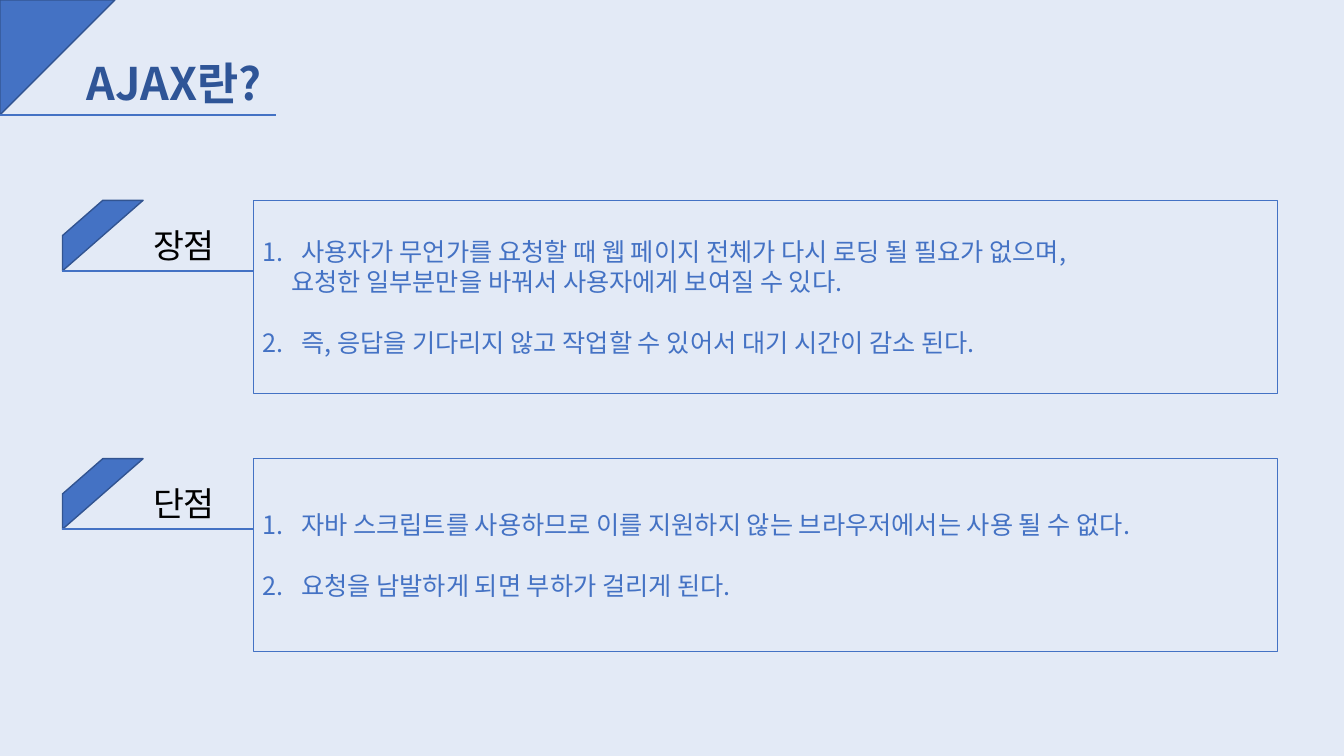
"""Build the AJAX pros and cons slide, with lengths in percent of the slide's size."""
from dataclasses import dataclass

from lxml import etree
from pptx import Presentation
from pptx import util as u
from pptx.dml.color import RGBColor
from pptx.enum import shapes, text
from pptx.oxml.ns import qn

WIDTH, HEIGHT = u.Inches(13.33), u.Inches(7.5)
FONT = "Noto Sans CJK KR"
COLORS = {
    "back": "E3EAF6",
    "blue": "4472C4",
    "edge": "325491",
    "title": "2F5597",
    "label": "000000",
}
LEFT, BOX_LEFT, RULE_DROP = 4.65, 18.83, 9.33
ITEM_GAP = 21.5


@dataclass
class Line:
    text: str
    number: int = 0
    restart: bool = False


@dataclass
class Panel:
    label: str
    top: float
    lines: list[Line]


PANELS = [
    Panel("장점", 26.5, [
        Line("사용자가 무언가를 요청할 때 웹 페이지 전체가 다시 로딩 될 필요가 없으며,", 1),
        Line("요청한 일부분만을 바꿔서 사용자에게 보여질 수 있다."),
        Line("즉, 응답을 기다리지 않고 작업할 수 있어서 대기 시간이 감소 된다.", 2, restart=True),
    ]),
    Panel("단점", 60.67, [
        Line("자바 스크립트를 사용하므로 이를 지원하지 않는 브라우저에서는 사용 될 수 없다.", 1),
        Line("요청을 남발하게 되면 부하가 걸리게 된다.", 2),
    ]),
]


def px(share: float) -> int:
    return round(WIDTH * share / 100)


def py(share: float) -> int:
    return round(HEIGHT * share / 100)


def rgb(name: str) -> RGBColor:
    return RGBColor.from_string(COLORS[name])


def write(p, content: str, *, size: float, color: str, bold: bool = False) -> None:
    r = p.add_run()
    r.text = content
    r.font.size, r.font.bold, r.font.name = u.Pt(size), bold, FONT
    r.font.color.rgb = rgb(color)
    etree.SubElement(r.font._element, qn("a:ea"), typeface=FONT)


def add_shape(s, kind, x: float, y: float, w: float, h: float, *,
              line: str, weight: float, fill: str = ""):
    sp = s.shapes.add_shape(kind, px(x), py(y), px(w), py(h))
    sp.shadow.inherit = False
    if fill:
        sp.fill.solid()
        sp.fill.fore_color.rgb = rgb(fill)
    else:
        sp.fill.background()
    sp.line.color.rgb, sp.line.width = rgb(line), u.Pt(weight)
    return sp


def add_rule(s, x1: float, x2: float, y: float) -> None:
    cx = s.shapes.add_connector(shapes.MSO_CONNECTOR.STRAIGHT, px(x1), py(y), px(x2), py(y))
    cx.line.color.rgb, cx.line.width = rgb("blue"), u.Pt(1.5)
    etree.SubElement(cx._element.spPr, qn("a:effectLst"))


def add_label(s, content: str, x: float, y: float, w: float, h: float, **fmt) -> None:
    tf = s.shapes.add_textbox(px(x), py(y), px(w), py(h)).text_frame
    tf.word_wrap = False
    tf.auto_size = text.MSO_AUTO_SIZE.SHAPE_TO_FIT_TEXT
    write(tf.paragraphs[0], content, **fmt)


def format_line(p, line: Line) -> None:
    p.alignment = text.PP_ALIGN.LEFT
    if line.number > 1:
        p.space_before = u.Pt(ITEM_GAP)
    pPr = p._p.get_or_add_pPr()
    margin = u.Inches(0.38 if line.number else 0.28)
    pPr.set("marL", str(margin))
    pPr.set("indent", str(-margin if line.number else 0))
    if line.number:
        bullet = etree.SubElement(pPr, qn("a:buAutoNum"), type="arabicPeriod")
        if line.restart:
            bullet.set("startAt", str(line.number))


def add_panel(s, panel: Panel) -> None:
    rule = panel.top + RULE_DROP
    add_shape(s, shapes.MSO_SHAPE.DIAGONAL_STRIPE, LEFT, panel.top, 6, RULE_DROP,
              fill="blue", line="edge", weight=1)
    add_rule(s, LEFT, BOX_LEFT, rule)
    add_label(s, panel.label, 10.65, panel.top + 2.53, 6.53, 6.67, size=24, color="label")
    box = add_shape(s, shapes.MSO_SHAPE.RECTANGLE, BOX_LEFT, panel.top, 76.2, 25.5,
                    line="blue", weight=0.75)
    tf = box.text_frame
    tf.word_wrap = True
    tf.vertical_anchor = text.MSO_ANCHOR.MIDDLE
    for i, line in enumerate(panel.lines):
        p = tf.add_paragraph() if i else tf.paragraphs[0]
        format_line(p, line)
        write(p, line.text, size=18, color="blue")


def main() -> None:
    prs = Presentation()
    prs.slide_width, prs.slide_height = WIDTH, HEIGHT
    s = prs.slides.add_slide(prs.slide_layouts[6])
    s.background.fill.solid()
    s.background.fill.fore_color.rgb = rgb("back")
    corner = add_shape(s, shapes.MSO_SHAPE.RIGHT_TRIANGLE, 0, 0, 8.55, 15.2,
                       fill="blue", line="edge", weight=1)
    corner.rotation = 90
    add_rule(s, 0, 20.55, 15.2)
    add_label(s, "AJAX란?", 5.7, 6.67, 14.85, 8.53, size=32, color="title", bold=True)
    for panel in PANELS:
        add_panel(s, panel)
    prs.save("out.pptx")


if __name__ == "__main__":
    main()
